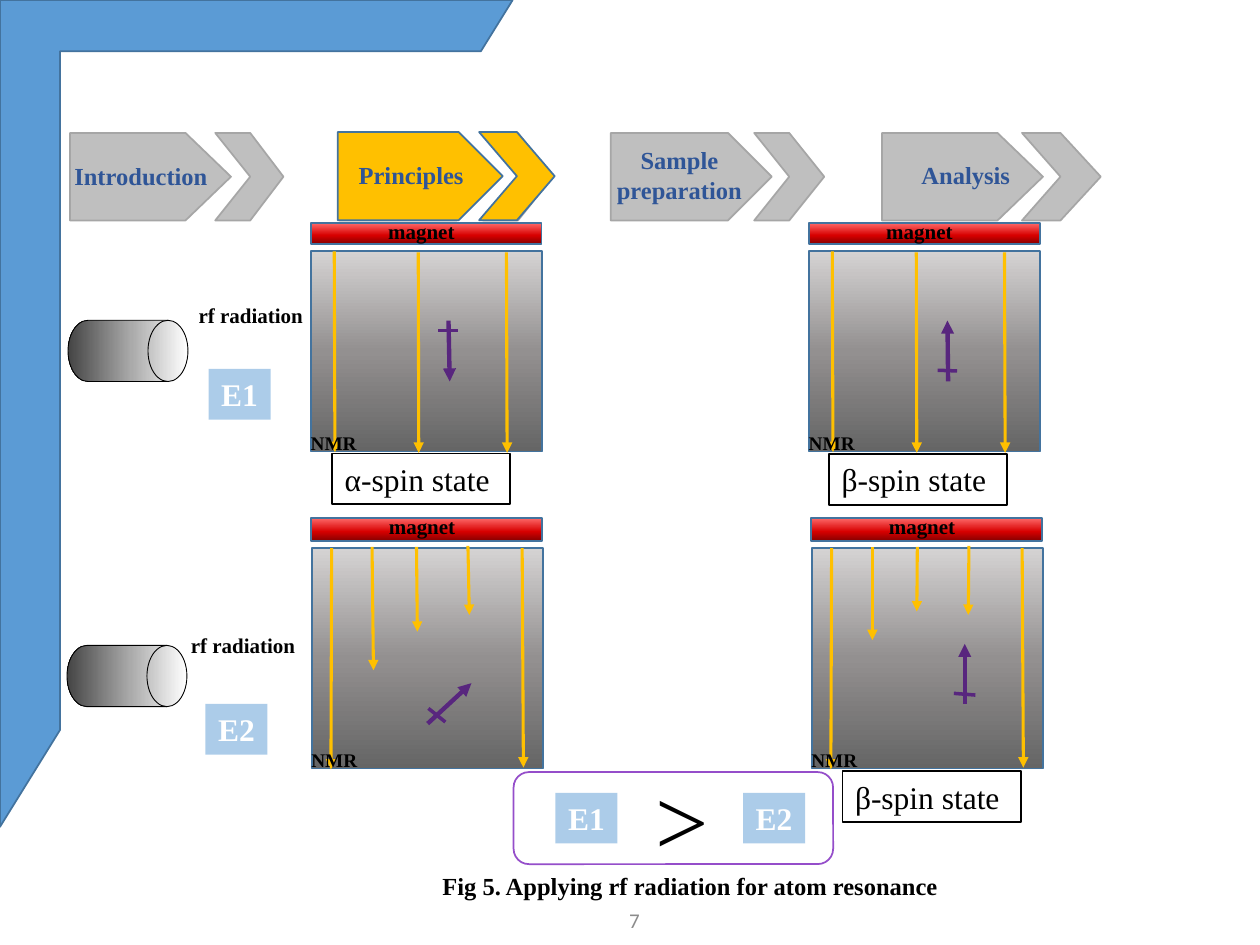
import copy
import pptx
import pptx.util
import pptx.dml.color
import pptx.enum.dml
import pptx.enum.shapes
import pptx.enum.text
import pptx.oxml
import pptx.oxml.ns
import lxml.etree

Pt = pptx.util.Pt
KIND = pptx.enum.shapes.MSO_SHAPE
ALIGN = pptx.enum.text.PP_ALIGN
ANCHOR = pptx.enum.text.MSO_ANCHOR
qn = pptx.oxml.ns.qn

HUES = {
    "blue": "5B9BD5", "edge": "43739E", "navy": "2F5597", "gold": "FFC000",
    "gray": "BFBFBF", "rim": "A6A6A6", "plum": "58267E", "violet": "954ECA",
    "black": "000000", "white": "FFFFFF", "dim": "8C8C8C",
}
RED = [(0, "860000"), (0.41, "D70000"), (1, "FF6B6B")]
STEEL = [(0, "656565"), (0.5, "939090"), (1, "D5D3D3")]
METAL = [(0, "FFFFFF"), (0.47, "AAAAAA"), (1, "454545")]


class Deck:
    """Slide style and the drawing methods for each kind of element."""

    def __init__(self, slide):
        self.slide = slide
        self.face = "Times New Roman"

    def tint(self, name):
        return pptx.dml.color.RGBColor.from_string(HUES.get(name, name))

    def dress(self, shape, fill, edge=None, width=1, angle=90):
        shape.shadow.inherit = False
        if isinstance(fill, list):
            shape.fill.gradient()
            shape.fill.gradient_angle = angle
            stops = shape._element.spPr.find(".//" + qn("a:gsLst"))
            stops.insert(1, copy.deepcopy(stops[0]))
            for stop, (place, hue) in zip(shape.fill.gradient_stops, fill):
                stop.position = place
                stop.color.rgb = self.tint(hue)
        else:
            shape.fill.solid()
            shape.fill.fore_color.rgb = self.tint(fill)
        if edge:
            shape.line.color.rgb = self.tint(edge)
            shape.line.width = Pt(width)
        else:
            shape.line.fill.background()
        return shape

    def shape(self, kind, x, y, w, h, fill, edge=None, **style):
        item = self.slide.shapes.add_shape(kind, Pt(x), Pt(y), Pt(w), Pt(h))
        return self.dress(item, fill, edge, **style)

    def outline(self, loops, fill, edge):
        pen = self.slide.shapes.build_freeform(*loops[0][0], scale=12700)
        for i, loop in enumerate(loops):
            if i:
                pen.move_to(*loop[0])
            pen.add_line_segments(loop[1:], close=True)
        return self.dress(pen.convert_to_shape(), fill, edge)

    def letter(self, shape, text, size, hue="black", bold=True, align=ALIGN.CENTER,
               wrap=True, face=None, anchor=ANCHOR.TOP):
        frame = shape.text_frame
        frame.word_wrap = wrap
        frame.vertical_anchor = anchor
        para = frame.paragraphs[0]
        para.alignment = align
        run = para.add_run()
        run.text = text
        run.font.name = face or self.face
        run.font.size = Pt(size)
        run.font.bold = bold
        run.font.color.rgb = self.tint(hue)

    def text(self, x, y, w, h, text, size, **style):
        box = self.slide.shapes.add_textbox(Pt(x), Pt(y), Pt(w), Pt(h))
        self.letter(box, text, size, **style)

    def line(self, start, end, hue, width, head=True):
        item = self.slide.shapes.add_connector(
            pptx.enum.shapes.MSO_CONNECTOR.STRAIGHT, *map(Pt, start + end))
        item.line.color.rgb = self.tint(hue)
        item.line.width = Pt(width)
        props = item._element.spPr
        if head:
            lxml.etree.SubElement(props.find(qn("a:ln")), qn("a:tailEnd"), type="triangle")
        lxml.etree.SubElement(props, qn("a:effectLst"))

    def label(self, x, y, text):
        item = self.shape(KIND.RECTANGLE, x, y, 35.5, 29, "blue")
        color = item._element.spPr.find(".//" + qn("a:srgbClr"))
        lxml.etree.SubElement(color, qn("a:alpha"), val="50000")
        self.letter(item, text, 18, hue="white", wrap=False, anchor=ANCHOR.MIDDLE)

    def state(self, x, y, text):
        item = self.shape(KIND.RECTANGLE, x, y, 101.8, 29, "white", "black")
        self.letter(item, text, 18, bold=False, align=ALIGN.LEFT, anchor=ANCHOR.MIDDLE)

    def panel(self, x, bar, top, high, fields, spin, cross):
        self.shape(KIND.RECTANGLE, x - 0.3, bar, 132, top - bar - 4, RED, "edge")
        self.shape(KIND.RECTANGLE, x, top, 132, high, STEEL, "edge")
        self.text(x + 21, bar - 6.2, 84, 21.8, "magnet", 12)
        for ends, hue, width, head in (
                [(spin, "plum", 2.5, True), (cross, "plum", 2, False)]
                + [(ends, "gold", 1.75, True) for ends in fields]):
            spots = [(x + a, top + b) for a, b in (ends[:2], ends[2:])]
            self.line(*spots, hue, width, head)
        self.text(x - 17, top + high - 15, 59.8, 20.6, "NMR", 11)

    def source(self, x, y, left, top):
        self.shape(KIND.FLOWCHART_DIRECT_ACCESS_STORAGE, x, y, 68.5, 35, METAL,
                   "black", width=0.5, angle=180)
        self.text(left, top, 77.8, 21.8, "rf radiation", 12)


def steps(deck):
    top, mid, low = 75.8, 100.8, 126
    loops = []
    for x in (39.6, 194.4, 349.2, 504):
        loops.append([(x + 66.5, top), (x, top), (x, low), (x + 66.5, low), (x + 92, mid)])
    for x, half in ((123, 19.6), (275.8, 20.2), (431.2, 19.8), (584, 22.3)):
        loops.append([(x + half, top), (x, top), (x + half, mid), (x, low),
                      (x + half, low), (x + 2 * half, mid)])
    deck.outline(loops, "gray", "rim")
    deck.shape(KIND.PENTAGON, 193, 75.5, 94.3, 50.4, "gold", "edge")
    deck.shape(KIND.CHEVRON, 273.8, 75.5, 43.2, 50.4, "gold", "edge")
    frame = deck.shape(KIND.HALF_FRAME, 0, 0, 293, 472.5, "blue", "edge")
    frame.adjustments[0], frame.adjustments[1] = 0.1, 0.117
    for x, y, w, h, name, wrap in (
            (35.2, 88.6, 90.7, 24.5, "Introduction", False),
            (195, 88, 80, 24.5, "Principles", True),
            (344, 79.4, 88.4, 41, "Sample preparation", True),
            (510.5, 88, 82.8, 24.5, "Analysis", True)):
        deck.text(x, y, w, h, name, 14, hue="navy", wrap=wrap)


def main():
    show = pptx.Presentation()
    show.slide_width, show.slide_height = Pt(720), Pt(540)
    deck = Deck(show.slides.add_slide(show.slide_layouts[6]))
    steps(deck)

    long = [(13.2, 0, 13.6, 114.8), (61.2, 0.7, 61.5, 115.2), (111.6, 0.7, 112, 115.2)]
    sides = [(11.3, 0, 10.9, 126.5), (120.2, 0, 120.9, 125.4)]
    left = [(34.4, -0.7, 35.2, 69.8), (59.8, -0.7, 60.3, 47.8), (89.2, -1.2, 90, 38.2)]
    right = [(34.6, -0.7, 34.6, 52.6), (60.3, -0.7, 60, 36.2), (89.8, -1.2, 89.4, 38.2)]
    upper, lower = (127.4, 143.6, 114.4), (296, 313.2, 126)
    deck.panel(177.8, *upper, long, (78.5, 39.6, 79.2, 74.4), (72.7, 45.4, 83.7, 45.4))
    deck.panel(178.2, *lower, sides + left, (66.2, 100.3, 91.2, 77.2), (66.6, 91.6, 76.3, 99.4))
    deck.panel(462.4, *upper, long, (79.4, 74.4, 79, 39.6), (73.4, 68, 84.5, 68.4))
    deck.panel(463.9, *lower, sides + right, (87.4, 88.9, 87.4, 54.7), (81.2, 83, 93.5, 84))

    deck.source(38.9, 183, 104.4, 169.2)
    deck.source(38.3, 368.8, 100, 358)
    deck.shape(KIND.ROUNDED_RECTANGLE, 293.5, 441.2, 182.6, 52.6, "white", "violet")
    for x, y, name in ((119.2, 210.8, "E1"), (117.4, 402.2, "E2"),
                       (317.4, 453, "E1"), (424.6, 453, "E2")):
        deck.label(x, y, name)
    for x, y, name in ((189.8, 259.2, "α-spin state"), (473.8, 259.4, "β-spin state"),
                       (481.5, 440.7, "β-spin state")):
        deck.state(x, y, name)
    deck.text(367.2, 431.3, 36.7, 72.7, ">", 54, bold=False, align=ALIGN.LEFT)
    deck.text(206.6, 494, 375.8, 24.5, "Fig 5. Applying rf radiation for atom resonance", 14)
    deck.text(281.5, 511.2, 162, 28.8, "7", 12, hue="dim", bold=False,
              face="Calibri", anchor=ANCHOR.MIDDLE)
    show.save("out.pptx")


if __name__ == "__main__":
    main()
